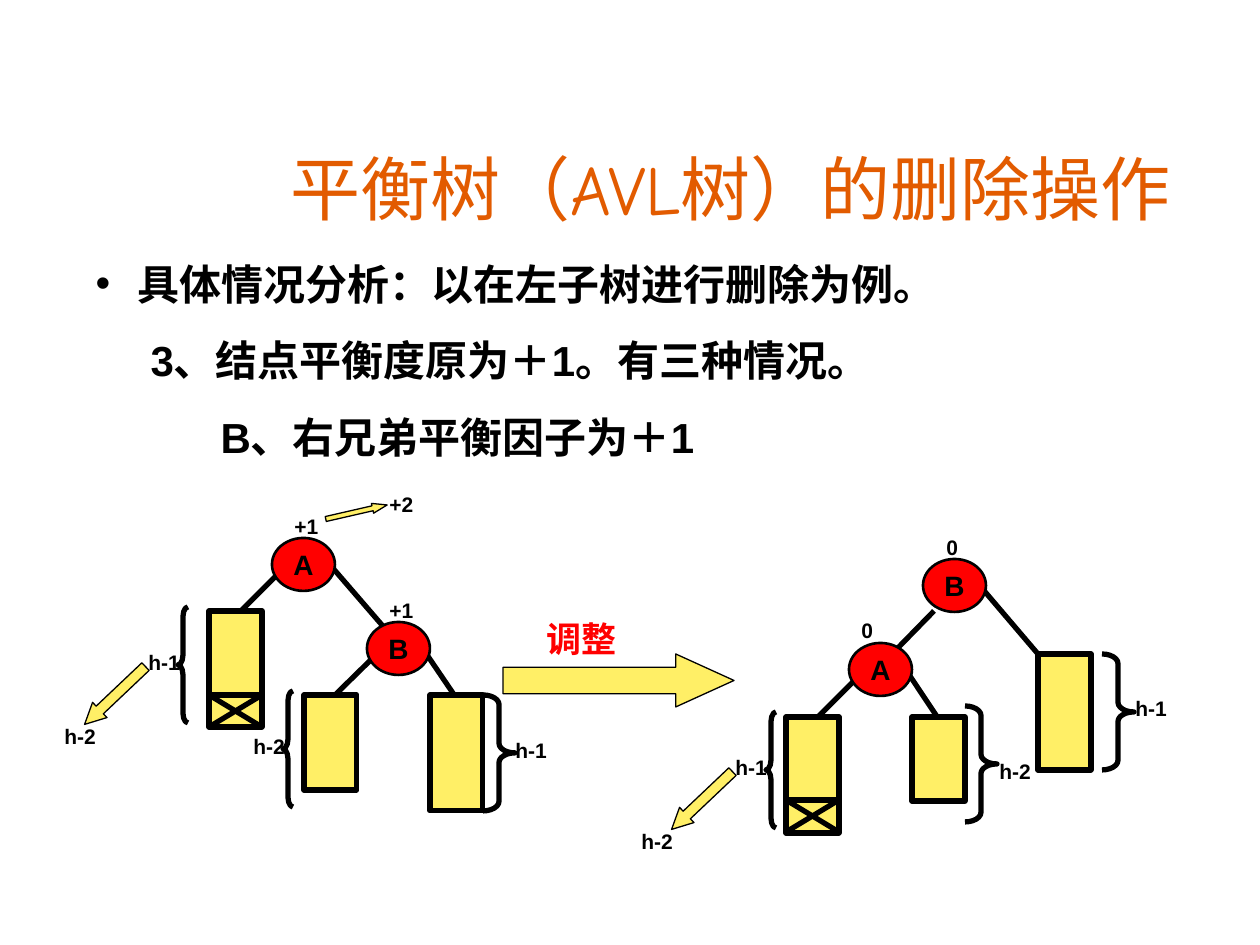
from lxml import etree
from pptx import Presentation
from pptx.dml.color import RGBColor
from pptx.enum.shapes import MSO_CONNECTOR, MSO_SHAPE
from pptx.enum.text import MSO_ANCHOR, PP_ALIGN
from pptx.oxml.ns import qn
from pptx.util import Pt

PX = 914400 / 126
BLACK = RGBColor(0x00, 0x00, 0x00)
RED = RGBColor(0xFF, 0x00, 0x00)
YELLOW = RGBColor(0xFF, 0xEF, 0x66)
ORANGE = RGBColor(0xE2, 0x5B, 0x00)


def px(*lengths):
    """Turn pixel lengths into EMU."""
    return [round(n * PX) for n in lengths]


def add_outlined(kind, box, width, fill=None):
    sp = s.shapes.add_shape(kind, *px(*box))
    sp.shadow.inherit = False
    if fill is None:
        sp.fill.background()
    else:
        sp.fill.solid()
        sp.fill.fore_color.rgb = fill
    sp.line.color.rgb = BLACK
    sp.line.width = Pt(width)
    return sp


prs = Presentation()
prs.slide_width, prs.slide_height = px(1260, 945)
s = prs.slides.add_slide(prs.slide_layouts[1])

# Title
title = s.shapes.title
title.left, title.top, title.width, title.height = px(199, 141, 1063, 93)
title.text_frame.text = "平衡树（AVL树）的删除操作"
p = title.text_frame.paragraphs[0]
p.alignment = PP_ALIGN.CENTER
font = p.runs[0].font
font.name, font.size, font.color.rgb = "Comic Neue", Pt(40), ORANGE

# Case list: text, left margin, first-line indent
body = s.placeholders[1]
body.left, body.top, body.width, body.height = px(53, 252, 910, 217)
tf = body.text_frame
cases = [
    ("具体情况分析：以在左子树进行删除为例。", 72, -42),
    ("3、结点平衡度原为＋1。有三种情况。", 85, 0),
    ("B、右兄弟平衡因子为＋1", 155, 0),
]
tf.text = "\n".join(text for text, _, _ in cases)
for p, (_, margin, indent) in zip(tf.paragraphs, cases):
    p.space_before = Pt(15)
    font = p.runs[0].font
    font.name, font.size, font.bold, font.color.rgb = "Arial", Pt(24), True, BLACK
    pPr = p._p.get_or_add_pPr()
    margin, indent = px(margin, indent)
    pPr.set("marL", str(margin))
    pPr.set("indent", str(indent))
    if indent:
        etree.SubElement(pPr, qn("a:buChar")).set("char", "•")
    else:
        etree.SubElement(pPr, qn("a:buNone"))

# Height braces
left_braces = [(178, 607), (283, 691), (766, 712)]
right_braces = [(483, 695), (965, 706), (1102, 654)]
for kind, width, corners in [
    (MSO_SHAPE.LEFT_BRACE, 10, left_braces),
    (MSO_SHAPE.RIGHT_BRACE, 32, right_braces),
]:
    for x, y in corners:
        sp = add_outlined(kind, (x, y, width, 116), 3)
        sp.adjustments[0] = round(9.7 / width, 2)

# Tree edges and the crossed-out deleted levels
edges = [
    (293, 559, 241, 611), (325, 559, 388, 632),
    (388, 643, 335, 695), (419, 643, 461, 705),
    (934, 611, 892, 654), (975, 580, 1038, 654),
    (871, 664, 818, 717), (902, 664, 944, 727),
]
crosses = []
for x, y in [(209, 695), (786, 800)]:
    crosses += [
        (x, y, x + 53, y),
        (x + 53, y, x, y + 32),
        (x, y, x + 53, y + 32),
    ]

# Subtrees: left, top, height; edges go behind them and crosses on top
subtrees = [
    (209, 611, 116), (304, 695, 95), (430, 695, 116),
    (786, 717, 116), (912, 717, 84), (1038, 654, 116),
]
for lines in (edges, crosses):
    for ends in lines:
        cx = s.shapes.add_connector(MSO_CONNECTOR.STRAIGHT, *px(*ends))
        cx.line.color.rgb = BLACK
        cx.line.width = Pt(3)
        etree.SubElement(cx._element.spPr, qn("a:effectLst"))
    if lines is edges:
        for x, y, height in subtrees:
            add_outlined(MSO_SHAPE.RECTANGLE, (x, y, 53, height), 3, YELLOW)

# Nodes
for name, x, y in [("A", 272, 538), ("B", 367, 622), ("B", 923, 559), ("A", 849, 643)]:
    sp = add_outlined(MSO_SHAPE.OVAL, (x, y, 63, 53), 1.5, RED)
    tf = sp.text_frame
    tf.word_wrap = False
    tf.vertical_anchor = MSO_ANCHOR.MIDDLE
    tf.text = name
    p = tf.paragraphs[0]
    p.alignment = PP_ALIGN.CENTER
    font = p.runs[0].font
    font.name, font.size, font.bold, font.color.rgb = "Arial", Pt(16), True, BLACK

# Arrows: box, rotation, head length
for box, rotation, head in [
    ((503, 654, 231, 53), 0, 1.1),
    ((73, 685, 84, 21), 136.5, 1),
    ((660, 790, 84, 21), 136.5, 1),
    ((325, 507, 63, 10), 347.1, 1.5),
]:
    sp = add_outlined(MSO_SHAPE.RIGHT_ARROW, box, 0.75, YELLOW)
    sp.rotation = rotation
    sp.adjustments[1] = head

# Labels: text, box, size, colour
labels = [("调整", (534, 611, 168, 55), 20, RED)]
for text, x, y in [
    ("h-1", 136, 643), ("h-2", 52, 717), ("+1", 282, 507), ("+2", 377, 485),
    ("+1", 377, 591), ("h-2", 241, 727), ("h-1", 503, 731),
    ("h-1", 723, 748), ("h-2", 629, 822), ("0", 934, 528), ("0", 849, 611),
    ("h-2", 987, 752), ("h-1", 1123, 689),
]:
    labels.append((text, (x, y, 63, 38), 12, BLACK))
for text, box, size, colour in labels:
    tf = s.shapes.add_textbox(*px(*box)).text_frame
    tf.word_wrap = True
    tf.text = text
    font = tf.paragraphs[0].runs[0].font
    font.name, font.size, font.bold, font.color.rgb = "Arial", Pt(size), True, colour

prs.save("out.pptx")
